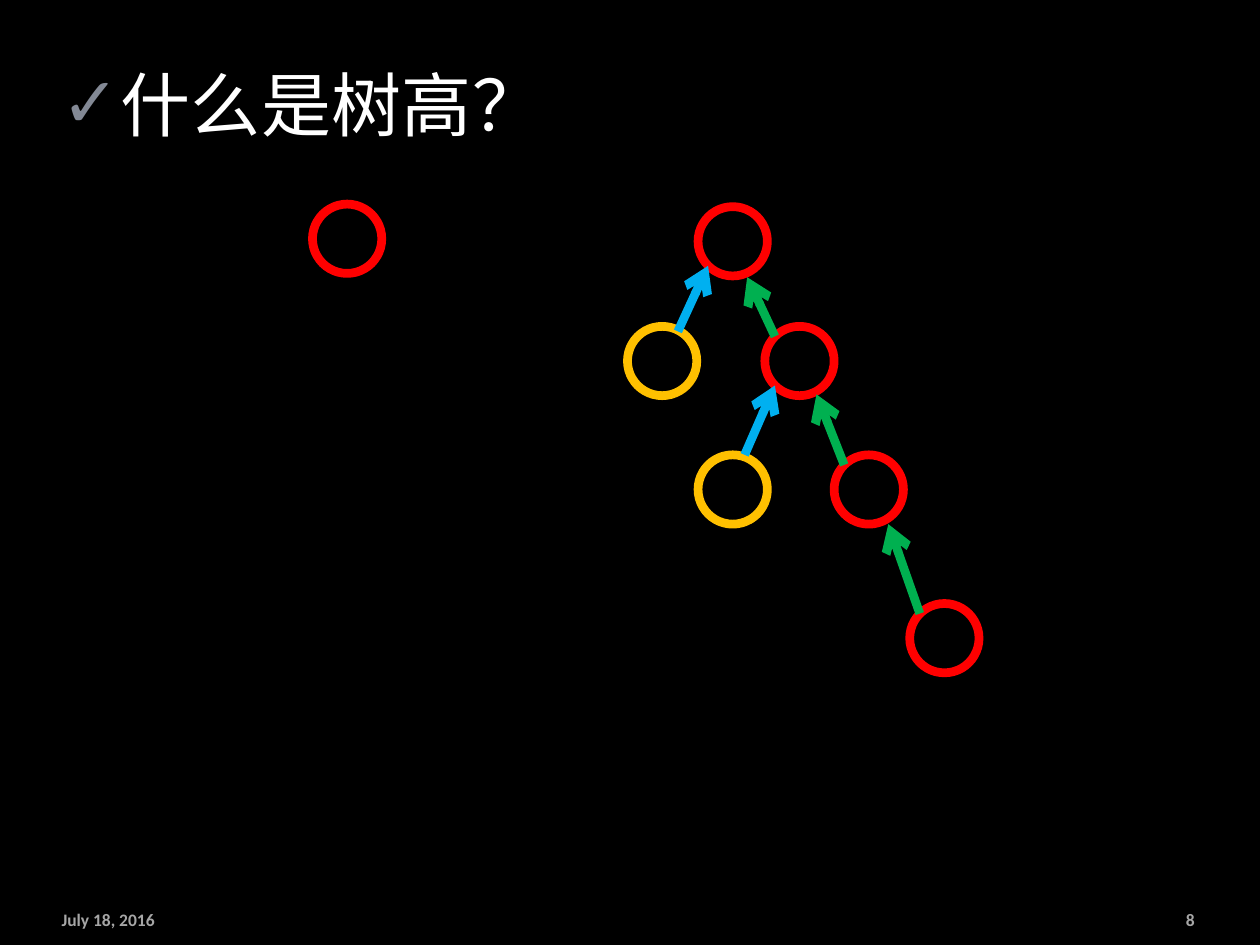
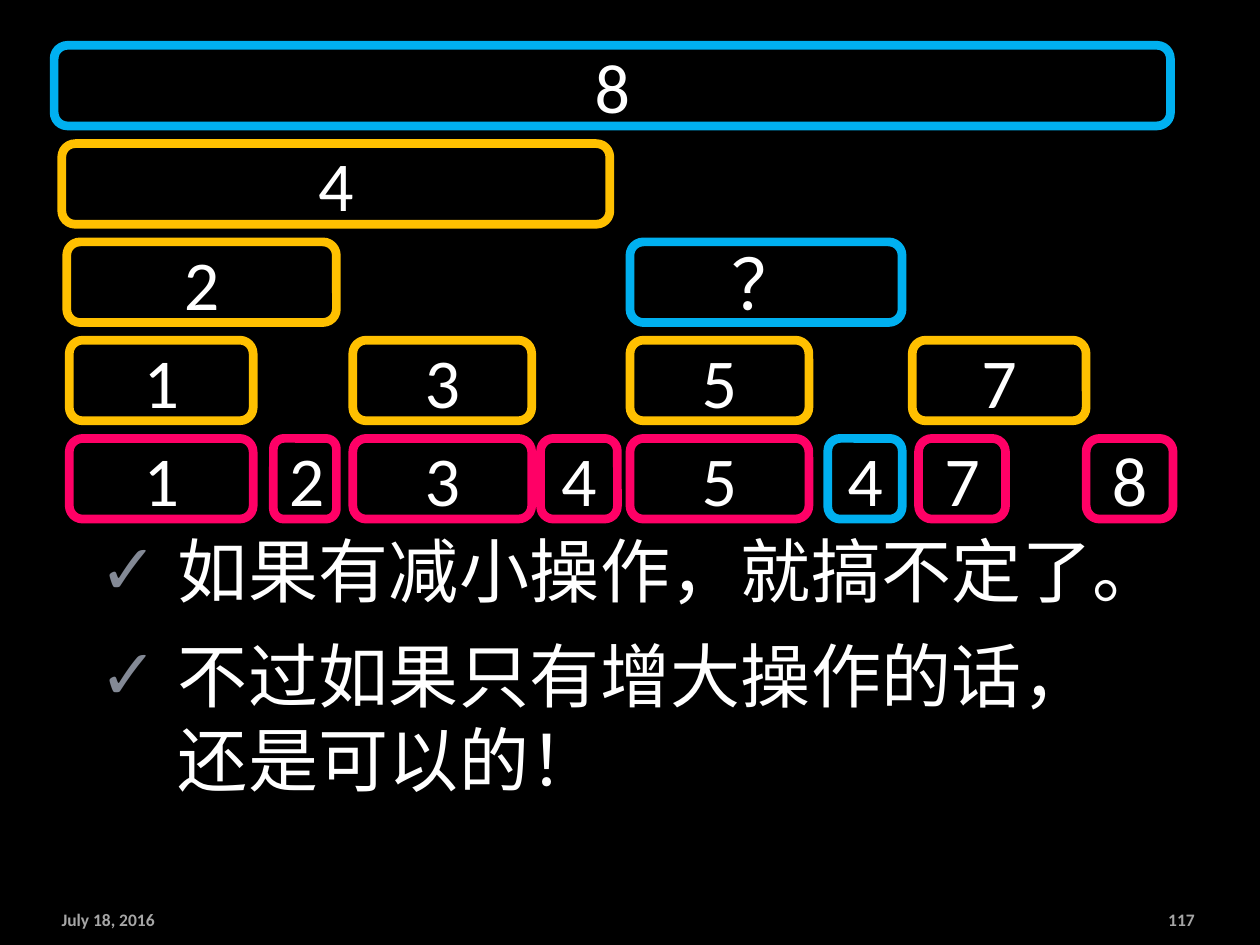
import lxml.etree
import pptx
import pptx.dml.color
import pptx.enum.shapes
import pptx.enum.text
import pptx.oxml.ns
import pptx.util

RGBColor = pptx.dml.color.RGBColor
BLACK = RGBColor(0x00, 0x00, 0x00)
WHITE = RGBColor(0xFF, 0xFF, 0xFF)
FOOTER_GREY = RGBColor(0xA6, 0xA6, 0xA6)
BULLET_GREY = RGBColor(0x83, 0x89, 0x95)
RED = RGBColor(0xFF, 0x00, 0x00)
GOLD = RGBColor(0xFF, 0xC0, 0x00)
BLUE = RGBColor(0x00, 0xB0, 0xF0)
GREEN = RGBColor(0x00, 0xB0, 0x50)
PINK = RGBColor(0xFF, 0x00, 0x66)

FONT = "Calibri"
DATE = "July 18, 2016"
WIDTH = pptx.util.Inches(10)
HEIGHT = pptx.util.Inches(7.5)
COLUMN = WIDTH / 10
ROW = HEIGHT / 7.5
OUTLINE = pptx.util.Pt(5)
NODE_SIZE = 0.55
BLOCK_TOP, BLOCK_PITCH, BLOCK_HEIGHT = 0.36, 0.78, 0.64

TREE_NODES = [
    (5.54, 1.64, RED), (4.98, 2.59, GOLD), (6.07, 2.59, RED),
    (5.54, 3.61, GOLD), (6.62, 3.61, RED), (7.22, 4.79, RED),
]
SINGLE_NODE = (2.48, 1.62, RED)
TREE_ARROWS = [
    ((5.38, 2.63), (5.62, 2.11), BLUE),
    ((5.91, 3.61), (6.15, 3.06), BLUE),
    ((6.15, 2.67), (5.93, 2.2), GREEN),
    ((6.7, 3.69), (6.48, 3.13), GREEN),
    ((7.3, 4.87), (7.05, 4.16), GREEN),
]
BLOCK_LEVELS = [
    [("8", 0.43, 8.86, BLUE)],
    [("4", 0.49, 4.35, GOLD)],
    [("2", 0.53, 2.14, GOLD), ("？", 5, 2.16, BLUE)],
    [("1", 0.55, 1.46, GOLD), ("3", 2.8, 1.42, GOLD),
     ("5", 5, 1.42, GOLD), ("7", 7.24, 1.38, GOLD)],
    [("1", 0.55, 1.46, PINK), ("2", 2.17, 0.5, PINK),
     ("3", 2.8, 1.42, PINK), ("4", 4.29, 0.61, PINK),
     ("5", 5, 1.42, PINK), ("4", 6.57, 0.59, BLUE),
     ("7", 7.29, 0.69, PINK), ("8", 8.62, 0.69, PINK)],
]


def grid(left, top, width, height):
    """Turn columns and rows into slide lengths."""
    return (round(left * COLUMN), round(top * ROW),
            round(width * COLUMN), round(height * ROW))


def add_element(parent, tag, **attributes):
    """Append a DrawingML element with the given attributes."""
    return lxml.etree.SubElement(parent, pptx.oxml.ns.qn(tag), attributes)


def style_font(paragraph, size, color, bold=False):
    """Set the shared typeface and the given look on a paragraph."""
    font = paragraph.font
    font.name = FONT
    font.size = pptx.util.Pt(size)
    font.bold = bold
    font.color.rgb = color


def add_footer_text(slide, text, left, width, alignment):
    """Add one footer text."""
    box = slide.shapes.add_textbox(*grid(left, 7.16, width, 0.27))
    frame = box.text_frame
    frame.word_wrap = True
    frame.vertical_anchor = pptx.enum.text.MSO_ANCHOR.MIDDLE
    paragraph = frame.paragraphs[0]
    paragraph.text = text
    paragraph.alignment = alignment
    style_font(paragraph, 10, FOOTER_GREY, bold=True)


def add_slide(presentation, number):
    """Add a slide with a body, a date and a slide number."""
    slide = presentation.slides.add_slide(presentation.slide_layouts[1])
    title = slide.shapes.title.element
    title.getparent().remove(title)
    add_footer_text(slide, DATE, 0.39, 1.6, pptx.enum.text.PP_ALIGN.LEFT)
    add_footer_text(slide, number, 8.62, 0.96, pptx.enum.text.PP_ALIGN.RIGHT)
    return slide


def add_check_mark(paragraph, indent):
    """Give a paragraph a grey check mark and a hanging indent."""
    properties = paragraph._p.get_or_add_pPr()
    length = round(indent * COLUMN)
    properties.set("marL", str(length))
    properties.set("indent", str(-length))
    color = add_element(properties, "a:buClr")
    add_element(color, "a:srgbClr", val=str(BULLET_GREY))
    add_element(properties, "a:buChar", char="✓")


def fill_body(slide, place, lines, indent):
    """Move the body placeholder and write its checked lines."""
    body = slide.placeholders[1]
    body.left, body.top, body.width, body.height = grid(*place)
    frame = body.text_frame
    frame.auto_size = pptx.enum.text.MSO_AUTO_SIZE.NONE
    frame.text = "\n".join(lines)
    for index, paragraph in enumerate(frame.paragraphs):
        add_check_mark(paragraph, indent)
        paragraph.line_spacing = pptx.util.Pt(48)
        paragraph.space_before = pptx.util.Pt(12 if index else 0)
        style_font(paragraph, 40, WHITE)
        defaults = paragraph._p.pPr.find(pptx.oxml.ns.qn("a:defRPr"))
        defaults.set("spc", "30")


def add_outline(slide, kind, place, color):
    """Add an unfilled preset shape with a thick outline."""
    shape = slide.shapes.add_shape(kind, *grid(*place))
    shape.shadow.inherit = False
    shape.fill.background()
    shape.line.color.rgb = color
    shape.line.width = OUTLINE
    return shape


def add_node(slide, left, top, color):
    """Add a round tree node."""
    add_outline(slide, pptx.enum.shapes.MSO_SHAPE.OVAL,
                (left, top, NODE_SIZE, NODE_SIZE), color)


def add_arrow(slide, start, end, color):
    """Add an arrow from a child node to its parent."""
    arrow = slide.shapes.add_connector(
        pptx.enum.shapes.MSO_CONNECTOR.STRAIGHT, *grid(*start, *end))
    arrow.line.color.rgb = color
    arrow.line.width = OUTLINE
    add_element(arrow.line._get_or_add_ln(), "a:tailEnd", type="arrow")
    add_element(arrow._element.spPr, "a:effectLst")


def add_block(slide, level, label, left, width, color):
    """Add a labelled interval block on a level."""
    top = BLOCK_TOP + level * BLOCK_PITCH
    block = add_outline(slide, pptx.enum.shapes.MSO_SHAPE.ROUNDED_RECTANGLE,
                        (left, top, width, BLOCK_HEIGHT), color)
    frame = block.text_frame
    frame.vertical_anchor = pptx.enum.text.MSO_ANCHOR.MIDDLE
    paragraph = frame.paragraphs[0]
    paragraph.text = label
    paragraph.alignment = pptx.enum.text.PP_ALIGN.CENTER
    style_font(paragraph, 40, WHITE)


def build_tree_height(presentation):
    """Build the slide on tree height."""
    slide = add_slide(presentation, "8")
    fill_body(slide, (0.39, 0.44, 9.18, 6.32), ["什么是树高？"], 0.31)
    for node in TREE_NODES + [SINGLE_NODE]:
        add_node(slide, *node)
    for arrow in TREE_ARROWS:
        add_arrow(slide, *arrow)


def build_interval_blocks(presentation):
    """Build the slide on interval blocks."""
    slide = add_slide(presentation, "117")
    fill_body(slide, (0.69, 4.14, 8.35, 2.83),
              ["如果有减小操作，就搞不定了。",
               "不过如果只有增大操作的话，还是可以的！"], 0.62)
    for level, blocks in enumerate(BLOCK_LEVELS):
        for block in blocks:
            add_block(slide, level, *block)


def main():
    """Build and save the presentation."""
    presentation = pptx.Presentation()
    presentation.slide_width = WIDTH
    presentation.slide_height = HEIGHT
    background = presentation.slide_master.background.fill
    background.solid()
    background.fore_color.rgb = BLACK
    build_tree_height(presentation)
    build_interval_blocks(presentation)
    presentation.save("out.pptx")


if __name__ == "__main__":
    main()
